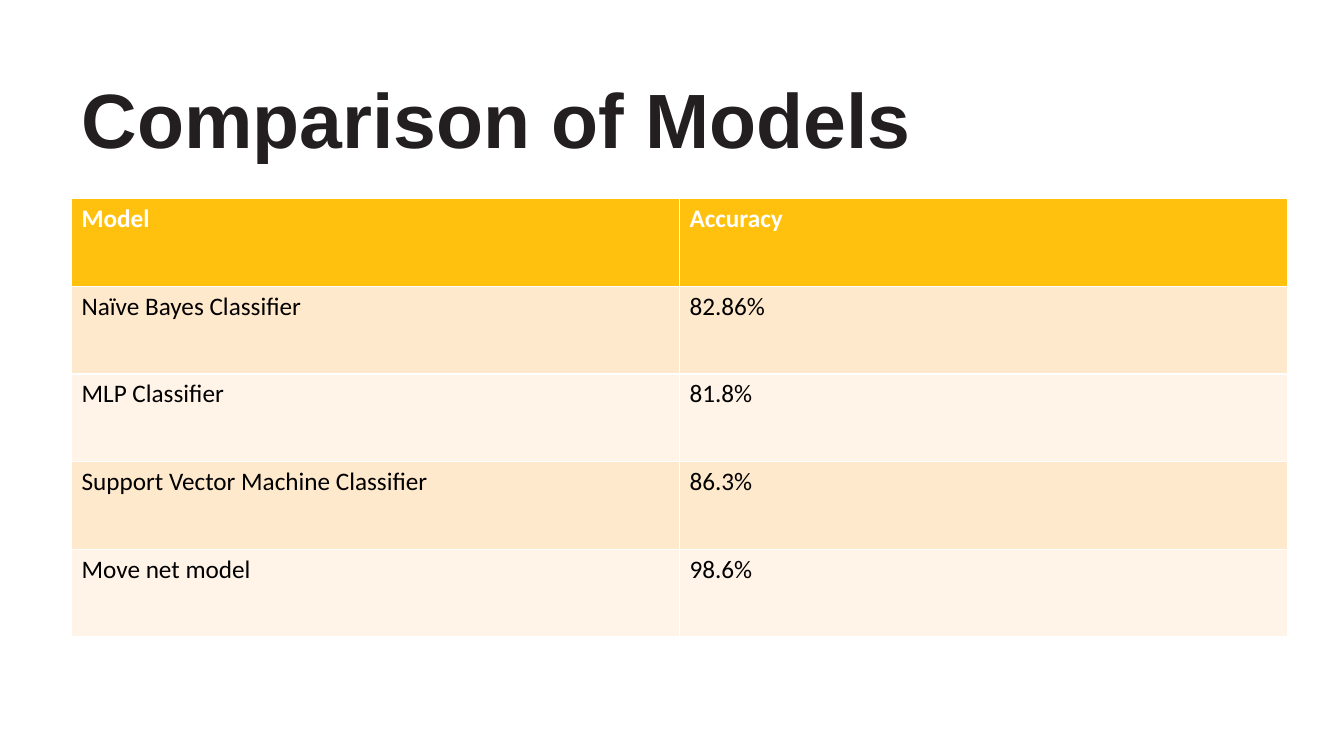
"""Build a slide that compares the accuracy of four models."""
from pptx import Presentation
from pptx.dml.color import RGBColor
from pptx.enum import text
from pptx.util import Inches, Pt

TITLE = "Comparison of Models"
ROWS = [
    ("Model", "Accuracy"),
    ("Naïve Bayes Classifier", "82.86%"),
    ("MLP Classifier", "81.8%"),
    ("Support Vector Machine Classifier", "86.3%"),
    ("Move net model", "98.6%"),
]
HEAD = "FFC10D"
BANDS = ("FFF4E7", "FFE9CC")
LEFT, TOP, WIDTH, ROW = 0.71, 1.97, 12.06, 0.87


def style(para, face, size, color, bold):
    """Format every run of a paragraph."""
    for run in para.runs:
        font = run.font
        font.name, font.size, font.bold = face, Pt(size), bold
        font.color.rgb = RGBColor.from_string(color)


def add_title(slide):
    """Place and format the title."""
    title = slide.shapes.title
    title.left, title.top = Inches(LEFT), Inches(0.75)
    title.width, title.height = Inches(8.76), Inches(0.95)
    frame = title.text_frame
    frame.text = TITLE
    frame.word_wrap = True
    frame.auto_size = text.MSO_AUTO_SIZE.NONE
    frame.vertical_anchor = text.MSO_ANCHOR.MIDDLE
    para = frame.paragraphs[0]
    para.alignment = text.PP_ALIGN.LEFT
    para.line_spacing = 0.9
    style(para, "Arial", 55, "231F20", True)


def add_grid(slide):
    """Add the table with a bold header and banded rows."""
    count = len(ROWS)
    table = slide.shapes.add_table(
        count, len(ROWS[0]), Inches(LEFT), Inches(TOP),
        Inches(WIDTH), Inches(ROW * count)).table
    for r, row in enumerate(ROWS):
        head = r == 0
        fill = HEAD if head else BANDS[r % 2]
        for c, label in enumerate(row):
            cell = table.cell(r, c)
            cell.text = label
            cell.fill.solid()
            cell.fill.fore_color.rgb = RGBColor.from_string(fill)
            style(cell.text_frame.paragraphs[0], "Calibri", 18,
                  "FFFFFF" if head else "000000", head)


def main():
    """Create and save the slide."""
    deck = Presentation()
    deck.slide_width, deck.slide_height = Inches(13.33), Inches(7.5)
    slide = deck.slides.add_slide(deck.slide_layouts[5])
    add_title(slide)
    add_grid(slide)
    deck.save("out.pptx")


if __name__ == "__main__":
    main()
